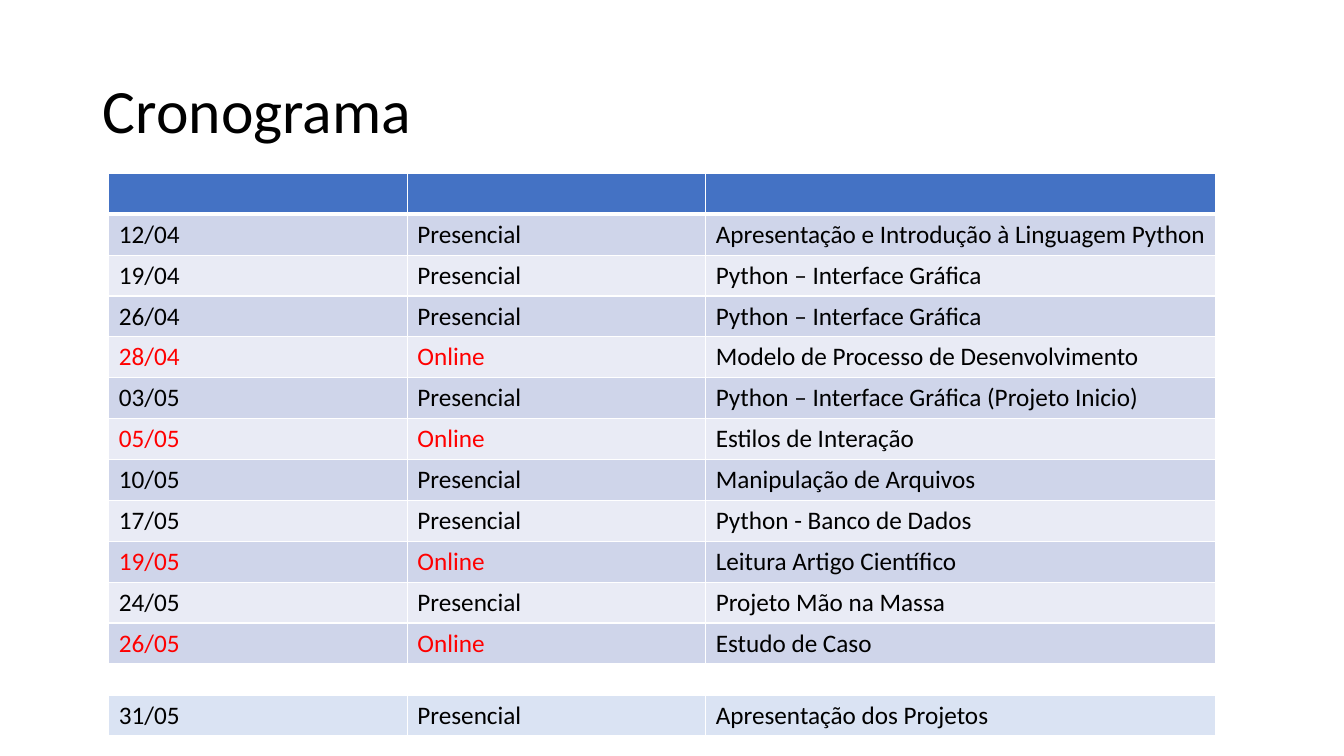
from pptx import Presentation
from pptx.dml.color import RGBColor
from pptx.enum.text import MSO_ANCHOR, PP_ALIGN
from pptx.oxml.ns import qn
from pptx.util import Inches, Pt
from lxml.etree import SubElement

BLACK = RGBColor(0, 0, 0)
WHITE = RGBColor(255, 255, 255)
RED = RGBColor(255, 0, 0)
HEADER_BLUE = RGBColor(0x44, 0x72, 0xC4)
BAND_DARK = RGBColor(0xCF, 0xD5, 0xEA)
BAND_LIGHT = RGBColor(0xE9, 0xEB, 0xF5)
FINAL_BLUE = RGBColor(0xDA, 0xE3, 0xF3)

TABLE_LEFT = Inches(1.08)
COLUMN_WIDTHS = [Inches(width) for width in (2.96, 2.96, 5.06)]
ROW_HEIGHT = Inches(4.87 / 12)

SCHEDULE = [
    ("", "", ""),
    ("12/04", "Presencial", "Apresentação e Introdução à Linguagem Python"),
    ("19/04", "Presencial", "Python – Interface Gráfica"),
    ("26/04", "Presencial", "Python – Interface Gráfica"),
    ("28/04", "Online", "Modelo de Processo de Desenvolvimento"),
    ("03/05", "Presencial", "Python – Interface Gráfica (Projeto Inicio)"),
    ("05/05", "Online", "Estilos de Interação"),
    ("10/05", "Presencial", "Manipulação de Arquivos"),
    ("17/05", "Presencial", "Python - Banco de Dados"),
    ("19/05", "Online", "Leitura Artigo Científico"),
    ("24/05", "Presencial", "Projeto Mão na Massa"),
    ("26/05", "Online", "Estudo de Caso"),
]
FINAL_CLASS = [("31/05", "Presencial", "Apresentação dos Projetos")]


def set_borders(cell, bottom_width):
    properties = cell._tc.get_or_add_tcPr()
    for side in "LRTB":
        width = bottom_width if side == "B" else 1
        line = SubElement(properties, qn(f"a:ln{side}"), w=str(Pt(width)))
        fill = SubElement(line, qn("a:solidFill"))
        SubElement(fill, qn("a:srgbClr"), val=str(WHITE))


def add_schedule(slide, top, rows, fills):
    table = slide.shapes.add_table(
        len(rows), len(COLUMN_WIDTHS), TABLE_LEFT, top,
        sum(COLUMN_WIDTHS), ROW_HEIGHT * len(rows)).table
    table.first_row = table.horz_banding = False
    for column, width in zip(table.columns, COLUMN_WIDTHS):
        column.width = width
    for row_index, (texts, fill) in enumerate(zip(rows, fills)):
        for column_index, text in enumerate(texts):
            cell = table.cell(row_index, column_index)
            # The first row of each table has a thick lower edge
            set_borders(cell, 3 if row_index == 0 else 1)
            cell.fill.solid()
            cell.fill.fore_color.rgb = fill
            paragraph = cell.text_frame.paragraphs[0]
            paragraph.text = text
            online = texts[1] == "Online" and column_index < 2
            for name, value in {"size": Pt(18), "name": "Calibri"}.items():
                setattr(paragraph.font, name, value)
            for run in paragraph.runs:
                run.font.size, run.font.name = Pt(18), "Calibri"
                run.font.color.rgb = RED if online else BLACK


presentation = Presentation()
presentation.slide_width = Inches(13.33)
presentation.slide_height = Inches(7.5)
slide = presentation.slides.add_slide(presentation.slide_layouts[5])

# Title
title = slide.shapes.title
title_box = {"left": 0.92, "top": 0.4, "width": 11.5, "height": 1.45}
for name, value in title_box.items():
    setattr(title, name, Inches(value))
title.text_frame.text = "Cronograma"
title.text_frame.vertical_anchor = MSO_ANCHOR.MIDDLE
paragraph = title.text_frame.paragraphs[0]
paragraph.alignment = PP_ALIGN.LEFT
paragraph.line_spacing = 0.9
font = paragraph.runs[0].font
for name, value in {"size": Pt(44), "name": "Calibri"}.items():
    setattr(font, name, value)
font.color.rgb = BLACK

# Class dates, then the closing session
bands = [BAND_LIGHT if index % 2 == 0 else BAND_DARK
         for index in range(1, len(SCHEDULE))]
bands = [HEADER_BLUE] + [BAND_DARK if index % 2 else BAND_LIGHT
                         for index in range(1, len(SCHEDULE))]
add_schedule(slide, Inches(1.72), SCHEDULE, bands)
add_schedule(slide, Inches(6.9), FINAL_CLASS, [FINAL_BLUE])

presentation.save("out.pptx")
